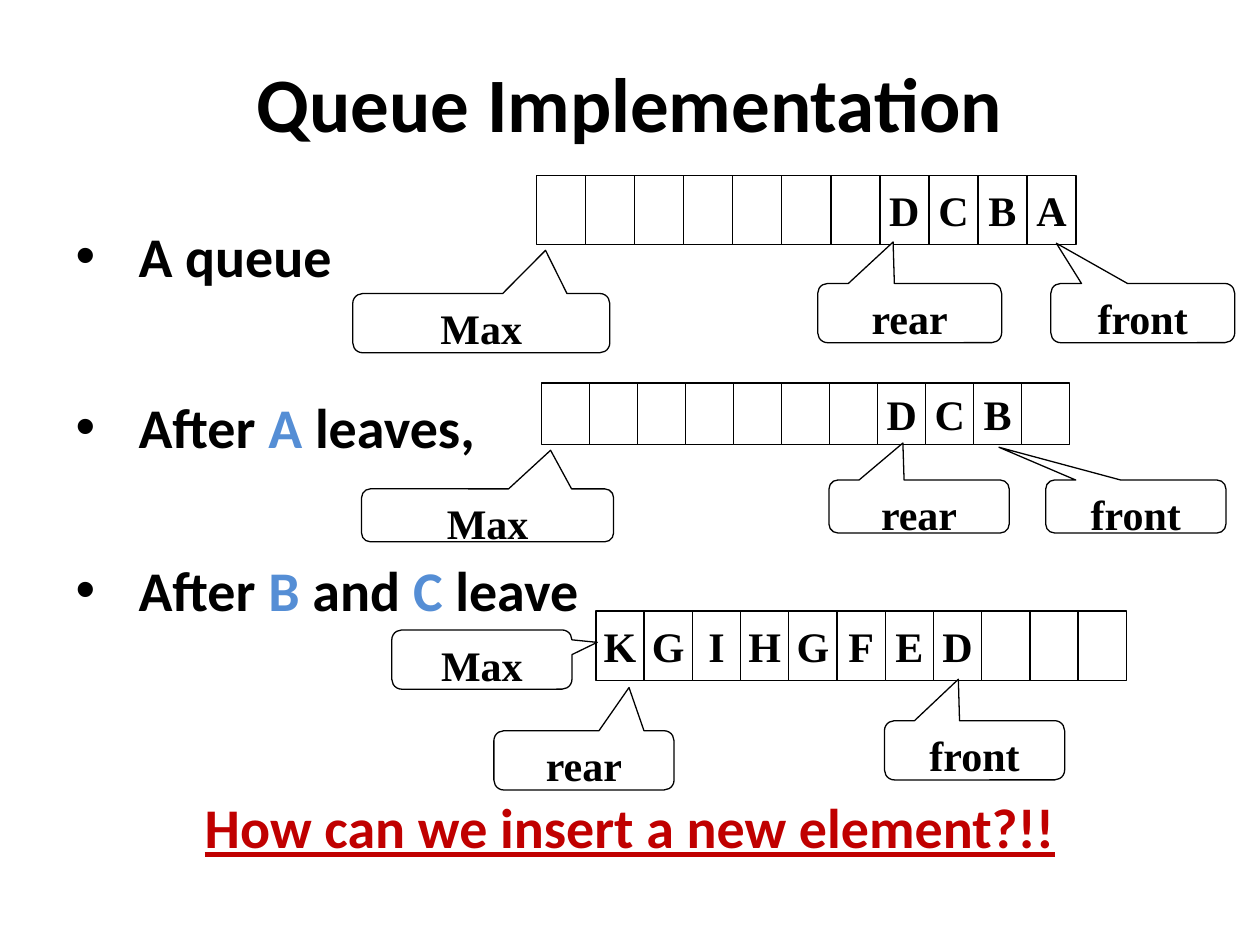
from pptx import Presentation
from pptx.dml.color import RGBColor
from pptx.enum.shapes import MSO_SHAPE
from pptx.enum.text import MSO_ANCHOR, MSO_AUTO_SIZE, PP_ALIGN
from pptx.util import Inches, Pt
from lxml import etree

BLACK = RGBColor(0, 0, 0)
WHITE = RGBColor(255, 255, 255)
BLUE = RGBColor(0x55, 0x8E, 0xD5)
RED = RGBColor(0xC0, 0, 0)
GRID_COLUMNS, GRID_ROWS = 100, 75
SLIDE_WIDTH, SLIDE_HEIGHT = Inches(10), Inches(7.5)
DRAWING_NS = "{http://schemas.openxmlformats.org/drawingml/2006/main}"

# Each queue: cells, box on the grid, then its callouts (label, box, pointer offset)
QUEUES = [
    ([""] * 7 + list("DCBA"), (42.6, 13.9, 42.8, 5.5), [
        ("Max", (28, 23.3, 20.4, 4.7), (0.25, -1.23)),
        ("rear", (64.9, 22.5, 14.6, 4.7), (-0.09, -1.2)),
        ("front", (83.4, 22.5, 14.6, 4.7), (-0.47, -1.18))]),
    ([""] * 7 + list("DCB") + [""], (43, 30.4, 41.9, 4.9), [
        ("Max", (28.7, 38.8, 20, 4.2), (0.25, -1.23)),
        ("rear", (65.8, 38.1, 14.3, 4.2), (-0.09, -1.2)),
        ("front", (83, 38.1, 14.3, 4.2), (-0.76, -1.12))]),
    (list("KGIHGFED") + [""] * 3, (47.3, 48.5, 42.1, 5.5), [
        ("rear", (39.2, 58, 14.3, 4.7), (0.25, -1.23)),
        ("front", (70.2, 57.2, 14.3, 4.7), (-0.09, -1.2)),
        ("Max", (31.1, 50, 14.3, 4.7), (0.64, -0.29))]),
]

# Each line: space before in points, then its coloured runs
BULLETS = [
    (0, [("A queue", BLACK)]),
    (36, [("After ", BLACK), ("A", BLUE), (" leaves,", BLACK)]),
    (31.5, [("After ", BLACK), ("B", BLUE), (" and ", BLACK),
            ("C", BLUE), (" leave", BLACK)]),
]
QUESTION = (74.5, [("How can we insert a new element?!!", RED)])


def grid(column, row, width, height):
    """Turn grid columns and rows into slide lengths."""
    cell_w, cell_h = SLIDE_WIDTH / GRID_COLUMNS, SLIDE_HEIGHT / GRID_ROWS
    return (round(column * cell_w), round(row * cell_h),
            round(width * cell_w), round(height * cell_h))


def place(shape, box):
    """Move a placeholder to a grid box."""
    shape.left, shape.top, shape.width, shape.height = grid(*box)


def add_run(paragraph, text, size, font, color=BLACK):
    """Add one bold run and return it."""
    run = paragraph.add_run()
    run.text = text
    run.font.size, run.font.name, run.font.bold = Pt(size), font, True
    run.font.color.rgb = color
    return run


def add_box(group, kind, box, label):
    """Add a white outlined shape with a centred label."""
    shape = group.shapes.add_shape(kind, *grid(*box))
    shape.shadow.inherit = False
    shape.fill.solid()
    shape.fill.fore_color.rgb = WHITE
    shape.line.color.rgb = BLACK
    shape.line.width = Pt(0.75)
    if label:
        paragraph = shape.text_frame.paragraphs[0]
        paragraph.alignment = PP_ALIGN.CENTER
        add_run(paragraph, label, 24, "Times New Roman")
    return shape


def add_queue(slide, cells, box, callouts):
    """Add a row of equal cells and the callouts pointing at it."""
    group = slide.shapes.add_group_shape()
    left, top, width, height = box
    cell_width = width / len(cells)
    for i, label in enumerate(cells):
        cell = add_box(group, MSO_SHAPE.RECTANGLE,
                       (left + i * cell_width, top, cell_width, height), label)
        cell.text_frame.word_wrap = False
        cell.text_frame.vertical_anchor = MSO_ANCHOR.MIDDLE
    for label, callout_box, pointer in callouts:
        callout = add_box(group, MSO_SHAPE.ROUNDED_RECTANGULAR_CALLOUT,
                          callout_box, label)
        callout.text_frame.vertical_anchor = MSO_ANCHOR.TOP
        callout.adjustments[0], callout.adjustments[1] = pointer


def add_line(paragraph, space_before, runs):
    """Fill one body paragraph and return its runs."""
    paragraph.line_spacing = 1.6
    paragraph.space_before = Pt(space_before)
    return [add_run(paragraph, text, 32, "Calibri", color)
            for text, color in runs]


def set_indent(paragraph, margin, bulleted):
    """Set a hanging indent, with or without a bullet."""
    props = paragraph._p.get_or_add_pPr()
    props.set("marL", str(margin))
    props.set("indent", str(-margin))
    if bulleted:
        etree.SubElement(props, DRAWING_NS + "buChar").set("char", "•")
    else:
        etree.SubElement(props, DRAWING_NS + "buNone")


def fill_title(title):
    """Write the slide title."""
    place(title, (5, 3, 90, 10.1))
    frame = title.text_frame
    frame.auto_size = MSO_AUTO_SIZE.NONE
    frame.vertical_anchor = MSO_ANCHOR.MIDDLE
    frame.paragraphs[0].alignment = PP_ALIGN.CENTER
    add_run(frame.paragraphs[0], "Queue Implementation", 44, "Calibri")


def fill_body(body):
    """Write the bullets and the closing question."""
    place(body, (5, 13.9, 90, 61.1))
    frame = body.text_frame
    frame.auto_size = MSO_AUTO_SIZE.NONE
    frame.vertical_anchor = MSO_ANCHOR.TOP
    for i, (space, runs) in enumerate(BULLETS):
        paragraph = frame.add_paragraph() if i else frame.paragraphs[0]
        add_line(paragraph, space, runs)
        set_indent(paragraph, Inches(0.5), True)
    question = frame.add_paragraph()
    question.alignment = PP_ALIGN.CENTER
    for run in add_line(question, *QUESTION):
        run.font.underline = True
    set_indent(question, 0, False)


def main():
    """Build and save the slide."""
    deck = Presentation()
    deck.slide_width, deck.slide_height = SLIDE_WIDTH, SLIDE_HEIGHT
    slide = deck.slides.add_slide(deck.slide_layouts[1])
    fill_title(slide.shapes.title)
    fill_body(slide.placeholders[1])
    for cells, box, callouts in QUEUES:
        add_queue(slide, cells, box, callouts)
    deck.save("out.pptx")


main()
